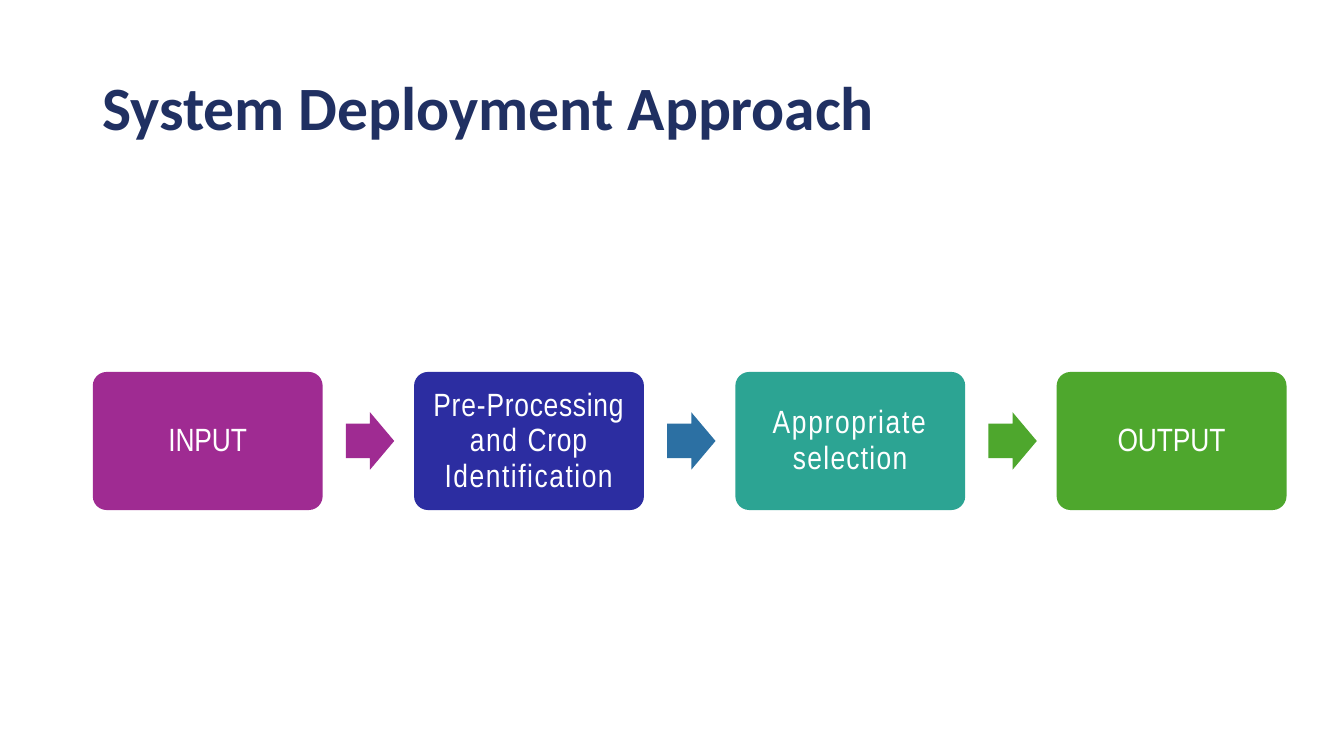
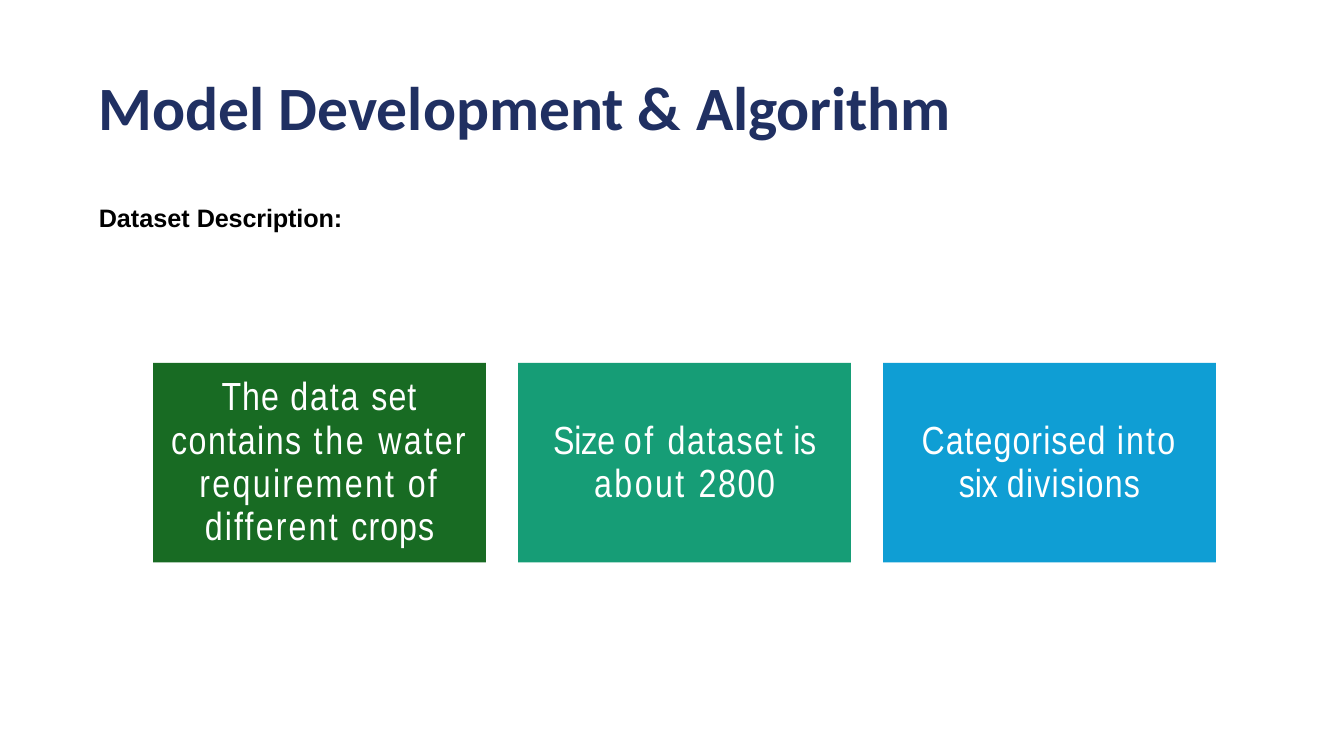
"""Build two slides: a deployment flow and a dataset description."""
from pptx import Presentation
from pptx.dml.color import RGBColor
from pptx.enum.shapes import MSO_SHAPE
from pptx.enum.text import MSO_ANCHOR, PP_ALIGN
from pptx.util import Inches, Pt

ROUNDED, ARROW, RECTANGLE = MSO_SHAPE.ROUNDED_RECTANGLE, MSO_SHAPE.RIGHT_ARROW, MSO_SHAPE.RECTANGLE
LEFT, CENTER = PP_ALIGN.LEFT, PP_ALIGN.CENTER
TOP, MIDDLE = MSO_ANCHOR.TOP, MSO_ANCHOR.MIDDLE

COLORS = {
    "navy": "203062", "black": "000000", "white": "FFFFFF",
    "purple": "9F2B92", "indigo": "2C2DA1", "blue": "2C70A3", "teal": "2CA493", "green": "4EA72D",
    "forest": "186B23", "jade": "169D76", "sky": "0F9ED4",
}

FLOW_TITLE = [("System ", -0.1), ("Deployment ", 0), ("Approach", -0.1)]
STEPS = [
    ("purple", [("INPUT", -0.1)]),
    ("indigo", [("Pre-", 0.6), ("Processing ", 0.5), ("and ", 1.1), ("Crop ", 0.6), ("Identification", 1.1)]),
    ("teal", [("Appropriate ", 1.2), ("selection", 0.9)]),
    ("green", [("OUTPUT", -0.1)]),
]
ARROW_COLORS = ["purple", "blue", "green"]

DATASET_TITLE = [("Model Development & ", 0), ("Algorithm", -0.1)]
SUBTITLE = [("Dataset ", 0), ("Description:", -0.1)]
FACTS = [
    ("forest", 0.1, [("The ", 0.8), ("data ", 1.4), ("set ", 0.8), ("contains ", 1.1), ("the ", 2), ("water ", 1.6),
                     ("requirement of ", 1.7), ("different ", 1.6), ("crops", 0.8)]),
    ("jade", 0.25, [("Size ", -0.1), ("of ", 1.9), ("dataset", 1.2), (" is ", -0.2), ("about ", 1.8), ("2800", 1.2)]),
    ("sky", 0.25, [("Categorised ", 0.8), ("into ", 1.6), ("six ", 0), ("divisions", 0.9)]),
]

STEP_LEFT, STEP_RIGHT, STEP_TOP, STEP_WIDTH, STEP_HEIGHT = 0.92, 12.76, 3.69, 2.28, 1.37
STEP_PITCH = (STEP_RIGHT - STEP_LEFT - STEP_WIDTH) / (len(STEPS) - 1)
ARROW_WIDTH, ARROW_HEIGHT, ARROW_GAP = 0.48, 0.57, 0.23
FACT_LEFT, FACT_TOP, FACT_WIDTH, FACT_HEIGHT, FACT_GAP = 1.52, 3.6, 3.3, 1.98, 0.32


def write(shape, runs, font, size, color, bold=False, align=LEFT, anchor=TOP, inset=0, line_spacing=1):
    """Fill a shape with one paragraph of letter-spaced runs."""
    frame = shape.text_frame
    frame.word_wrap = True
    frame.vertical_anchor = anchor
    frame.margin_left = frame.margin_right = Inches(inset)
    frame.margin_top = frame.margin_bottom = 0
    paragraph = frame.paragraphs[0]
    paragraph.alignment = align
    paragraph.line_spacing = line_spacing
    paragraph.font.name = font
    paragraph.font.size = Pt(size)
    paragraph.font.bold = bold
    paragraph.font.color.rgb = RGBColor.from_string(COLORS[color])
    for text, spacing in runs:
        run = paragraph.add_run()
        run.text = text
        run._r.get_or_add_rPr().set("spc", str(round(spacing * 100)))


def add_block(slide, kind, box, color, adjustments=()):
    """Add a flat filled shape."""
    shape = slide.shapes.add_shape(kind, *map(Inches, box))
    shape.shadow.inherit = False
    shape.fill.solid()
    shape.fill.fore_color.rgb = RGBColor.from_string(COLORS[color])
    shape.line.fill.background()
    for index, value in enumerate(adjustments):
        shape.adjustments[index] = value
    return shape


def add_label(slide, box, runs, **style):
    """Add a text box."""
    write(slide.shapes.add_textbox(*map(Inches, box)), runs, **style)


def add_titled_slide(presentation, title, left):
    """Add a blank slide with the shared title style."""
    slide = presentation.slides.add_slide(presentation.slide_layouts[6])
    add_label(slide, (left, 0.68, 9, 0.76), title, font="Calibri", size=44, color="navy", bold=True)
    return slide


def build_flow(presentation):
    """Draw the process steps with an arrow in each gap."""
    slide = add_titled_slide(presentation, FLOW_TITLE, 1.02)
    for index, (color, runs) in enumerate(STEPS):
        left = STEP_LEFT + index * STEP_PITCH
        step = add_block(slide, ROUNDED, (left, STEP_TOP, STEP_WIDTH, STEP_HEIGHT), color, [0.1])
        write(step, runs, "Arial Narrow", 23, "white", align=CENTER, anchor=MIDDLE, inset=0.15, line_spacing=0.92)
    arrow_top = STEP_TOP + (STEP_HEIGHT - ARROW_HEIGHT) / 2
    for index, color in enumerate(ARROW_COLORS):
        left = STEP_LEFT + index * STEP_PITCH + STEP_WIDTH + ARROW_GAP
        add_block(slide, ARROW, (left, arrow_top, ARROW_WIDTH, ARROW_HEIGHT), color, [0.6, 0.5])


def build_dataset(presentation):
    """Draw the subtitle and the row of dataset facts."""
    slide = add_titled_slide(presentation, DATASET_TITLE, 0.98)
    add_label(slide, (0.98, 2.01, 3, 0.33), SUBTITLE, font="Arial", size=18, color="black", bold=True)
    for index, (color, inset, runs) in enumerate(FACTS):
        left = FACT_LEFT + index * (FACT_WIDTH + FACT_GAP)
        fact = add_block(slide, RECTANGLE, (left, FACT_TOP, FACT_WIDTH, FACT_HEIGHT), color)
        write(fact, runs, "Arial Narrow", 28, "white", align=CENTER, anchor=MIDDLE, inset=inset, line_spacing=0.92)


def main():
    """Create and save the presentation."""
    presentation = Presentation()
    presentation.slide_width, presentation.slide_height = Inches(13.33), Inches(7.5)
    build_flow(presentation)
    build_dataset(presentation)
    presentation.save("out.pptx")


if __name__ == "__main__":
    main()
